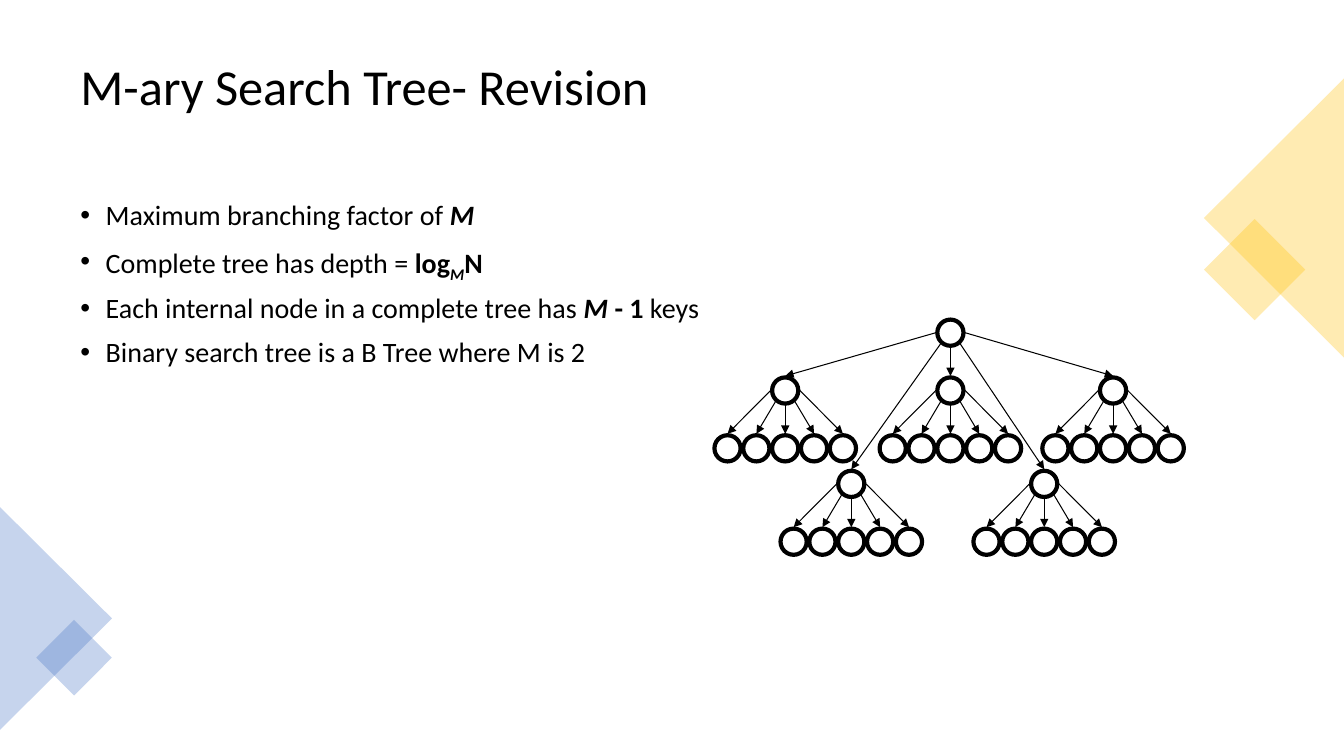
from dataclasses import dataclass

from lxml import etree
from pptx import Presentation
from pptx.dml.color import RGBColor
from pptx.enum.shapes import MSO_CONNECTOR, MSO_SHAPE
from pptx.enum.text import MSO_ANCHOR
from pptx.oxml.ns import qn
from pptx.util import Pt

MIDDLE = MSO_ANCHOR.MIDDLE
TOP = MSO_ANCHOR.TOP
ELLIPSE = MSO_SHAPE.OVAL
SQUARE = MSO_SHAPE.RECTANGLE
TRIANGLE = MSO_SHAPE.ISOSCELES_TRIANGLE
STRAIGHT = MSO_CONNECTOR.STRAIGHT


@dataclass(frozen=True)
class Theme:
    font: str = "Calibri"
    title_size: float = 36
    body_size: float = 20
    ink: RGBColor = RGBColor(0, 0, 0)
    gold: RGBColor = RGBColor(0xFF, 0xC0, 0x00)
    blue: RGBColor = RGBColor(0x44, 0x72, 0xC4)
    corner_alpha: int = 30000
    node_line: float = 3
    edge_line: float = 0.75


THEME = Theme()

PLAIN, BOLD, BOLD_ITALIC, SUBSCRIPT = (
    (False, False, 0), (True, False, 0), (True, True, 0), (True, True, -25000))

BULLETS = [
    [("Maximum branching factor of ", PLAIN), ("M", BOLD_ITALIC)],
    [("Complete tree has depth = ", PLAIN), ("log", BOLD),
     ("M", SUBSCRIPT), ("N", BOLD)],
    [("Each internal node in a complete tree has ", PLAIN),
     ("M ", BOLD_ITALIC), ("- 1", BOLD), (" keys", PLAIN)],
    [("Binary search tree is a B Tree where M is 2", PLAIN)],
]

NODE_SIZE = 18.72
LEAF_GAP = 20.6
LEVEL_DROP = 41.3
BRANCH_OFFSETS = [(-118, LEVEL_DROP), (-70.8, 108), (0, LEVEL_DROP),
                  (67, 108), (116.2, LEVEL_DROP)]
LEAF_OFFSETS = [(step * LEAF_GAP, LEVEL_DROP) for step in range(-2, 3)]
EDGE_STARTS = [(-10.5, 0), (-6.7, 7.5), (0, 10.4), (6.7, 7.5), (10.5, 0)]
EDGE_END_GAP = 10.4


def style_run(run, size):
    run.font.name = THEME.font
    run.font.size = Pt(size)
    run.font.color.rgb = THEME.ink


def add_text_frame(slide, box, anchor):
    frame = slide.shapes.add_textbox(*map(Pt, box)).text_frame
    frame.word_wrap = True
    frame.vertical_anchor = anchor
    return frame


def add_title(slide, box):
    frame = add_text_frame(slide, box, MIDDLE)
    frame.text = "M-ary Search Tree- Revision"
    heading = frame.paragraphs[0]
    heading.line_spacing = 0.9
    style_run(heading.runs[0], THEME.title_size)


def add_bullets(slide, box):
    frame = add_text_frame(slide, box, TOP)
    for index, pieces in enumerate(BULLETS):
        bullet = frame.add_paragraph() if index else frame.paragraphs[0]
        bullet.line_spacing = 0.9
        bullet.space_before = Pt(10)
        properties = bullet._p.get_or_add_pPr()
        properties.set("marL", str(Pt(18)))
        properties.set("indent", str(Pt(-18)))
        etree.SubElement(properties, qn("a:buFont"), typeface="Arial")
        etree.SubElement(properties, qn("a:buChar"), char="•")
        for words, (bold, italic, baseline) in pieces:
            run = bullet.add_run()
            run.text = words
            style_run(run, THEME.body_size)
            run.font.bold = bold
            run.font.italic = italic
            if baseline:
                run.font._element.set("baseline", str(baseline))


def add_corner_shape(slide, kind, center, size, rotation, color):
    (x, y), (width, height) = center, size
    shape = slide.shapes.add_shape(
        kind, Pt(x - width / 2), Pt(y - height / 2), Pt(width), Pt(height))
    shape.rotation = rotation
    shape.shadow.inherit = False
    shape.line.fill.background()
    shape.fill.solid()
    shape.fill.fore_color.rgb = color
    tint = shape._element.spPr.find(".//" + qn("a:srgbClr"))
    etree.SubElement(tint, qn("a:alpha"), val=str(THEME.corner_alpha))


def add_corner(slide, box, rotation, square_center, square_size, color):
    left, top, width, height = box
    add_corner_shape(slide, TRIANGLE, (left + width / 2, top + height / 2),
                     (height, width), rotation, color)
    add_corner_shape(slide, SQUARE,
                     (left + square_center[0], top + square_center[1]),
                     (square_size, square_size), 45, color)


def add_node(shapes, center):
    x, y = center
    node = shapes.add_shape(ELLIPSE, Pt(x - NODE_SIZE / 2),
                            Pt(y - NODE_SIZE / 2), Pt(NODE_SIZE), Pt(NODE_SIZE))
    node.shadow.inherit = False
    node.fill.background()
    node.line.color.rgb = THEME.ink
    node.line.width = Pt(THEME.node_line)


def add_edge(shapes, start, end):
    edge = shapes.add_connector(STRAIGHT, *map(Pt, (*start, *end)))
    edge.line.color.rgb = THEME.ink
    edge.line.width = Pt(THEME.edge_line)
    etree.SubElement(edge.line._get_or_add_ln(), qn("a:tailEnd"), type="triangle")
    etree.SubElement(edge._element.spPr, qn("a:effectLst"))


def add_parent(shapes, center, child_offsets):
    x, y = center
    add_node(shapes, center)
    children = [(x + dx, y + dy) for dx, dy in child_offsets]
    for (start_dx, start_dy), (child_x, child_y) in zip(EDGE_STARTS, children):
        add_edge(shapes, (x + start_dx, y + start_dy),
                 (child_x, child_y - EDGE_END_GAP))
    return children


def add_tree(slide, box):
    left, top, width, height = box
    root = (left + width / 2, top + NODE_SIZE / 2)
    for branch in add_parent(slide.shapes, root, BRANCH_OFFSETS):
        subtree = slide.shapes.add_group_shape().shapes
        for leaf in add_parent(subtree, branch, LEAF_OFFSETS):
            add_node(subtree, leaf)


def build_tree_slide(presentation):
    slide = presentation.slides.add_slide(presentation.slide_layouts[6])
    add_title(slide, (50.4, 19.44, 859, 89.3))
    add_bullets(slide, (50.4, 140.4, 859, 346.3))
    add_corner(slide, (860, 56, 100, 199.4), 270, (36.2, 136.6), 51.1, THEME.gold)
    add_corner(slide, (0, 362.2, 80, 159.1), 90, (52.9, 107.6), 38.2, THEME.blue)
    add_tree(slide, (510, 228.3, 337.8, 168))


presentation = Presentation()
presentation.slide_width = Pt(960)
presentation.slide_height = Pt(540)
build_tree_slide(presentation)
presentation.save("out.pptx")
